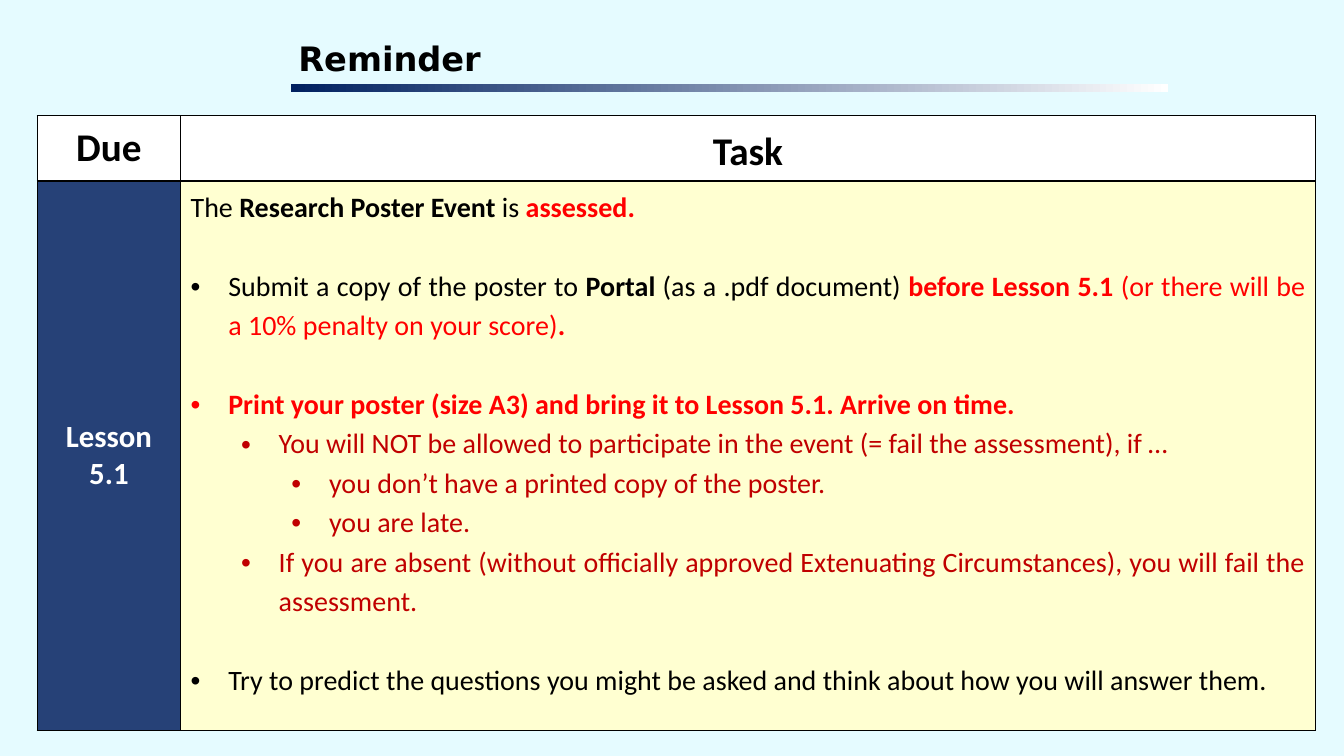
"""Build the reminder slide about the assessed poster event."""
from lxml.etree import SubElement
from pptx import Presentation
from pptx.dml.color import RGBColor
from pptx.enum.shapes import MSO_SHAPE
from pptx.enum.text import MSO_ANCHOR as Anchor, MSO_AUTO_SIZE as AutoSize, PP_ALIGN as Align
from pptx.oxml import parse_xml
from pptx.oxml.ns import nsdecls, qn
from pptx.util import Cm, Pt

HEADING = "Reminder"
HEADERS = ["Due", "Task"]
DUE = "Lesson 5.1"
TASKS = [
    (None, False, [("The ", "plain"), ("Research Poster Event ", "strong"),
                   ("is ", "plain"), ("assessed.", "alert")]),
    (0, True, [("Submit a copy of the poster to ", "plain"), ("Portal", "strong"),
               (" (as a .pdf document) ", "plain"), ("before Lesson 5.1", "alert"),
               (" (or there will be a 10% penalty on your score)", "warning"), (".", "alert")]),
    (0, True, [("Print your poster (size A3) and bring it to Lesson 5.1. Arrive on time.", "alert")]),
    (1, False, [("You will NOT be allowed to participate in the event "
                 "(= fail the assessment), if …", "rule")]),
    (2, False, [("you don’t have a printed copy of the poster.", "rule")]),
    (2, False, [("you are late.", "rule")]),
    (1, False, [("If you are absent (without officially approved Extenuating Circumstances), "
                 "you will fail the assessment.", "rule")]),
    (0, True, [("Try to predict the questions you might be asked and think about "
                "how you will answer them.", "plain")]),
]

THEME = {
    "page": "E5FBFF", "ink": "000000", "paper": "FFFFFF", "navy": "002060",
    "due": "264177", "task": "FFFFD1",
    "title": {"name": "DejaVu Sans", "size": Pt(24), "bold": True},
    "header": {"name": "Calibri", "size": Pt(28), "bold": True},
    "lesson": {"name": "Calibri", "size": Pt(22), "bold": True},
    "body": {"name": "Calibri", "size": Pt(20)},
    "runs": {"plain": (False, "000000"), "strong": (True, "000000"), "alert": (True, "FF0000"),
             "warning": (False, "FF0000"), "rule": (False, "C00000")},
}
LINE_SPACING, GAP = 1.15, Pt(28)
HANG, STEP = Cm(0.95), Cm(1.27)
COLUMNS, ROWS = [Cm(3.61), Cm(28.6)], [Cm(1.63), Cm(13.84)]


def apply(target, values):
    for key, value in values.items():
        setattr(target, key, value)


def add_run(paragraph, text, font, colour):
    run = paragraph.add_run()
    run.text = text
    apply(run.font, font)
    run.font.color.rgb = RGBColor.from_string(colour)


def format_cell(cell, fill, anchor):
    cell.vertical_anchor = anchor
    cell.fill.solid()
    cell.fill.fore_color.rgb = RGBColor.from_string(fill)
    properties = cell._tc.get_or_add_tcPr()
    for index, side in enumerate("LRTB"):
        properties.insert(index, parse_xml(
            f'<a:ln{side} {nsdecls("a")} w="12700"><a:solidFill>'
            f'<a:srgbClr val="{THEME["ink"]}"/></a:solidFill></a:ln{side}>'))


def add_bullet(paragraph, level):
    properties = paragraph._p.get_or_add_pPr()
    properties.set("marL", str(HANG + level * STEP))
    properties.set("indent", str(-HANG))
    SubElement(properties, qn("a:buFont")).set("typeface", "Arial")
    SubElement(properties, qn("a:buChar")).set("char", "•")


def add_heading(slide):
    title = slide.shapes.title
    apply(title, {"left": Cm(7.42), "top": Cm(0.79), "width": Cm(22), "height": Cm(1.35)})
    frame = title.text_frame
    apply(frame, {f"margin_{side}": Cm(0.1) for side in ("left", "right", "top", "bottom")})
    apply(frame, {"word_wrap": True, "auto_size": AutoSize.NONE, "vertical_anchor": Anchor.MIDDLE})
    frame.paragraphs[0].alignment = Align.LEFT
    add_run(frame.paragraphs[0], HEADING, THEME["title"], THEME["ink"])

    underline = slide.shapes.add_shape(MSO_SHAPE.RECTANGLE, Cm(7.34), Cm(2.13), Cm(22.1), Cm(0.2))
    underline.shadow.inherit = False
    underline.line.fill.background()
    underline.fill.gradient()
    underline.fill.gradient_angle = 180
    for stop, name in zip(underline.fill.gradient_stops, ("paper", "navy")):
        stop.color.rgb = RGBColor.from_string(THEME[name])


def add_schedule(slide):
    table = slide.shapes.add_table(2, 2, Cm(0.94), Cm(2.92), sum(COLUMNS), sum(ROWS)).table
    apply(table, {"first_row": False, "horz_banding": False})
    for column, width in zip(table.columns, COLUMNS):
        column.width = width
    for row, height in zip(table.rows, ROWS):
        row.height = height

    due_header, task_header, lesson, tasks = table.iter_cells()
    labels = [(due_header, HEADERS[0], "header", "ink", "paper", 1.0),
              (task_header, HEADERS[1], "header", "ink", "paper", LINE_SPACING),
              (lesson, DUE, "lesson", "paper", "due", 1.0)]
    for cell, text, font, colour, fill, spacing in labels:
        format_cell(cell, THEME[fill], Anchor.MIDDLE)
        paragraph = cell.text_frame.paragraphs[0]
        apply(paragraph, {"alignment": Align.CENTER, "line_spacing": spacing})
        add_run(paragraph, text, THEME[font], THEME[colour])

    format_cell(tasks, THEME["task"], Anchor.TOP)
    frame = tasks.text_frame
    for index, (level, gap, runs) in enumerate(TASKS):
        paragraph = frame.add_paragraph() if index else frame.paragraphs[0]
        apply(paragraph, {"alignment": Align.JUSTIFY, "line_spacing": LINE_SPACING,
                          "space_before": GAP if gap else Pt(0), "level": level or 0})
        if level is not None:
            add_bullet(paragraph, level)
        for text, style in runs:
            bold, colour = THEME["runs"][style]
            add_run(paragraph, text, {**THEME["body"], "bold": bold}, colour)


def main():
    deck = Presentation()
    apply(deck, {"slide_width": Cm(33.87), "slide_height": Cm(19.05)})
    slide = deck.slides.add_slide(deck.slide_layouts[5])
    slide.background.fill.solid()
    slide.background.fill.fore_color.rgb = RGBColor.from_string(THEME["page"])
    add_heading(slide)
    add_schedule(slide)
    deck.save("out.pptx")


if __name__ == "__main__":
    main()
